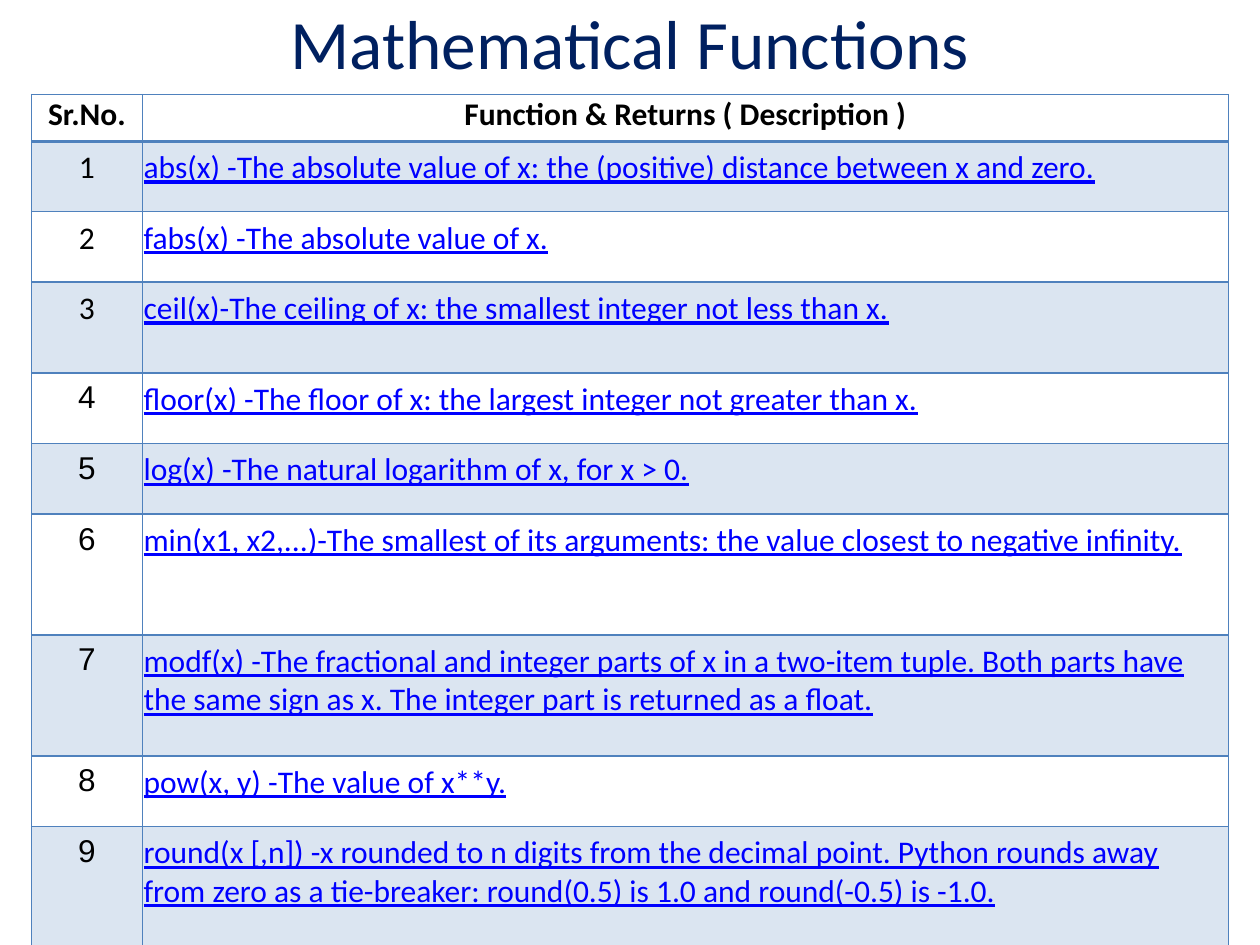
"""Build a slide with a table of mathematical functions."""
from typing import NamedTuple

from lxml.etree import SubElement as Sub
from pptx import Presentation
from pptx.dml.color import RGBColor
from pptx.enum.text import MSO_ANCHOR as Anchor, MSO_AUTO_SIZE as Auto, PP_ALIGN as Align
from pptx.oxml import parse_xml
from pptx.oxml.ns import nsdecls, qn
from pptx.table import _Cell as Cell
from pptx.text.text import _Paragraph as Para
from pptx.util import Inches, Pt

WIDE, HIGH = Inches(10), Inches(7.5)
UNIT = Inches(0.08)
NAVY = RGBColor(0x00, 0x20, 0x60)
BLACK = RGBColor(0x00, 0x00, 0x00)
LINK = RGBColor(0x00, 0x00, 0xFF)
BLUE = RGBColor(0x4F, 0x81, 0xBD)


class Entry(NamedTuple):
    """A function's text, its row height in grid units and its number's font."""
    text: str
    units: int = 7
    face: str = "Arial"


ENTRIES = [
    Entry("abs(x) -The absolute value of x: the (positive) distance between x and zero.",
          face="Calibri"),
    Entry("fabs(x) -The absolute value of x.", face="Calibri"),
    Entry("ceil(x)-The ceiling of x: the smallest integer not less than x.", 9, "Calibri"),
    Entry("floor(x) -The floor of x: the largest integer not greater than x."),
    Entry("log(x) -The natural logarithm of x, for x > 0."),
    Entry("min(x1, x2,...)-The smallest of its arguments: the value closest to "
          "negative infinity.", 12),
    Entry("modf(x) -The fractional and integer parts of x in a two-item tuple. Both parts "
          "have the same sign as x. The integer part is returned as a float.", 12),
    Entry("pow(x, y) -The value of x**y."),
    Entry("round(x [,n]) -x rounded to n digits from the decimal point. Python rounds away "
          "from zero as a tie-breaker: round(0.5) is 1.0 and round(-0.5) is -1.0.", 12),
]


def style(para: Para, size: float, color: RGBColor, face: str = "Calibri",
          bold: bool = False, line: bool = False, align: Align = Align.CENTER) -> None:
    """Set a paragraph's font and alignment."""
    para.alignment = align
    font = para.font
    font.size, font.name, font.bold, font.underline = Pt(size), face, bold, line
    font.color.rgb = color


def frame(cell: Cell, widths: dict[str, float]) -> None:
    """Draw the borders of a cell with the given widths in points."""
    props = cell._tc.get_or_add_tcPr()
    for spot, (side, width) in enumerate(widths.items()):
        edge = parse_xml(
            f'<a:ln{side} {nsdecls("a")} w="{Pt(width)}"><a:solidFill>'
            f'<a:srgbClr val="{BLUE}"/></a:solidFill></a:ln{side}>')
        props.insert(spot, edge)


def tint(cell: Cell, on: bool) -> None:
    """Give a cell a pale blue fill or none."""
    if not on:
        cell.fill.background()
        return
    cell.fill.solid()
    cell.fill.fore_color.rgb = BLUE
    tone = cell._tc.tcPr.find(".//" + qn("a:srgbClr"))
    Sub(tone, qn("a:alpha"), val="20000")


def write(cell: Cell, text: str, head: bool, band: bool) -> Para:
    """Fill and frame a cell and return its paragraph."""
    cell.margin_left = cell.margin_right = Inches(0.01)
    cell.margin_top = Inches(0.01 if head else 0.06)
    cell.margin_bottom = Inches(0 if head else 0.06)
    cell.vertical_anchor = Anchor.TOP
    tint(cell, band)
    frame(cell, {"L": 1, "R": 1, "T": 1, "B": 2 if head else 1})
    para = cell.text_frame.paragraphs[0]
    para.text = text
    return para


def main() -> None:
    """Build and save the slide."""
    deck = Presentation()
    deck.slide_width, deck.slide_height = WIDE, HIGH
    slide = deck.slides.add_slide(deck.slide_layouts[5])

    title = slide.shapes.title
    title.left, title.top = int(WIDE * 0.05), Inches(0.01)
    title.width, title.height = int(WIDE * 0.9), Inches(0.65)
    box = title.text_frame
    box.text = "Mathematical Functions"
    box.auto_size, box.vertical_anchor = Auto.NONE, Anchor.MIDDLE
    style(box.paragraphs[0], 39.6, NAVY)

    heights = [Inches(0.37)] + [entry.units * UNIT for entry in ENTRIES]
    table = slide.shapes.add_table(
        len(heights), 2, int(WIDE * 0.025), int(HIGH * 0.1),
        int(WIDE * 0.95), sum(heights)).table
    table.first_row = table.horz_banding = False
    for col, share in zip(table.columns, (0.088, 0.862)):
        col.width = int(WIDE * share)
    for row, height in zip(table.rows, heights):
        row.height = height

    for col, text in enumerate(("Sr.No.", "Function & Returns ( Description )")):
        style(write(table.cell(0, col), text, True, False), 18, BLACK, bold=True)
    for num, entry in enumerate(ENTRIES, 1):
        band = num % 2 == 1
        style(write(table.cell(num, 0), str(num), False, band), 18, BLACK, entry.face)
        style(write(table.cell(num, 1), entry.text, False, band), 18, LINK,
              line=True, align=Align.LEFT)

    deck.save("out.pptx")


if __name__ == "__main__":
    main()
